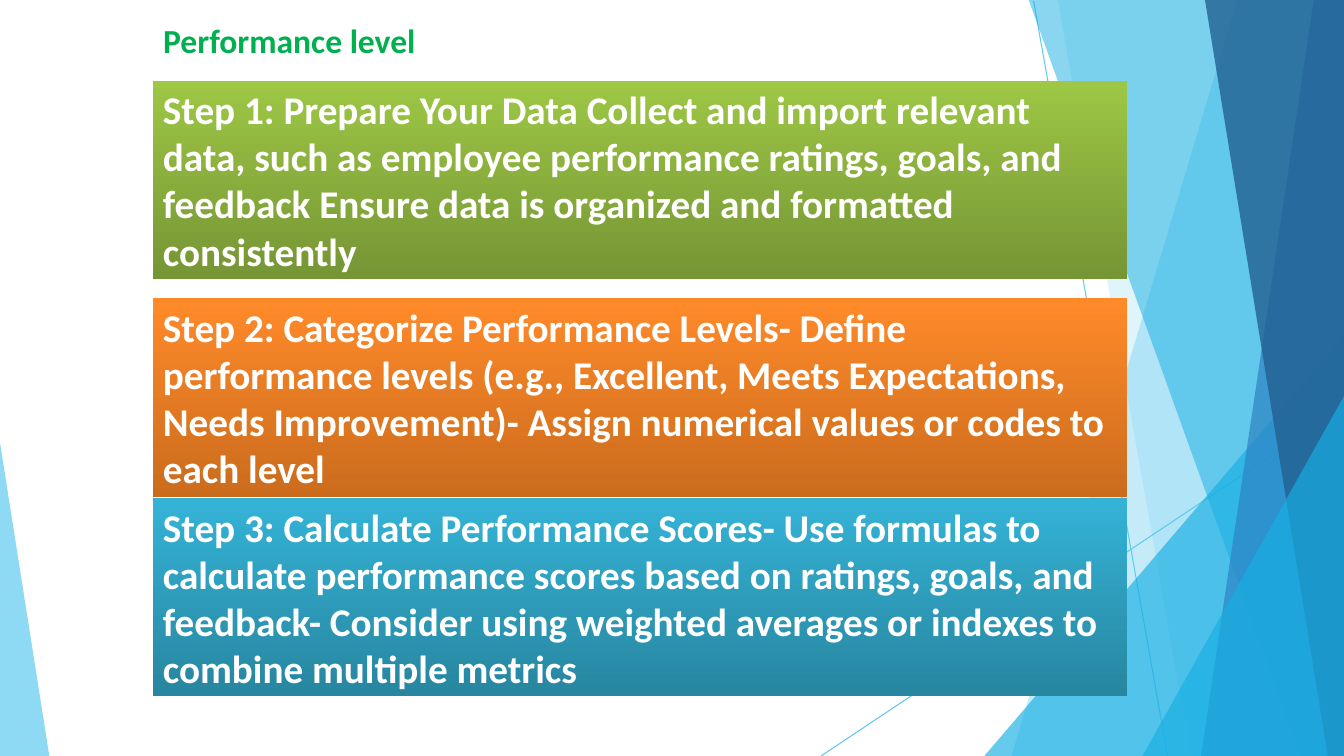
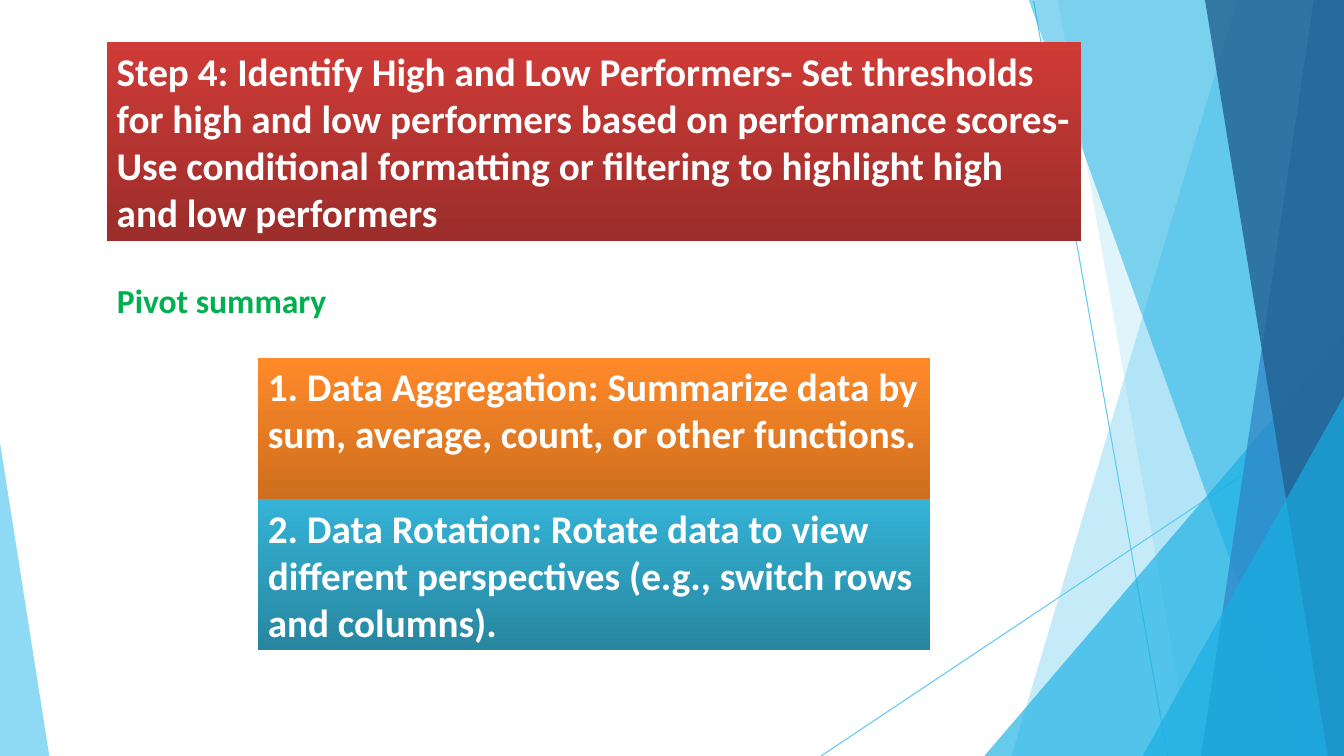
"""Build two slides of performance steps on a faceted background."""
from dataclasses import dataclass

from lxml.etree import SubElement
from pptx import Presentation
from pptx.dml.color import RGBColor
from pptx.enum.shapes import MSO_CONNECTOR, MSO_SHAPE
from pptx.enum.text import MSO_ANCHOR, MSO_AUTO_SIZE, PP_ALIGN
from pptx.oxml.ns import qn
from pptx.util import Inches, Pt


@dataclass(frozen=True)
class Theme:
    """Colours, gradients (bottom, top), font and type sizes."""
    font: str = "Calibri"
    heading_size: int = 24
    step_size: int = 28
    line_width: float = 0.75
    heading: str = "00B050"
    step_text: str = "FFFFFF"
    sky: str = "5FCAEE"
    azure: str = "17AFE3"
    blue: str = "2D83C3"
    navy: str = "226192"
    green: tuple = ("769535", "9DC745")
    orange: tuple = ("CB6C1D", "FF8A29")
    teal: tuple = ("2786A0", "34B3D6")
    red: tuple = ("9B2D2A", "CF3B37")


class Deck:
    """Draws on a grid of 100 columns and 100 rows."""

    def __init__(self, theme):
        """Start a widescreen presentation."""
        self.theme = theme
        self.presentation = Presentation()
        self.presentation.slide_width = Inches(13.34)
        self.presentation.slide_height = Inches(7.5)
        self.layout = self.presentation.slide_layouts[5]
        self.slide = None

    def columns(self, count):
        """Return the length of a number of columns."""
        return round(self.presentation.slide_width * count / 100)

    def rows(self, count):
        """Return the length of a number of rows."""
        return round(self.presentation.slide_height * count / 100)

    def place(self, left, top, width, height):
        """Turn grid units into a position and size."""
        return self.columns(left), self.rows(top), self.columns(width), self.rows(height)

    def add_slide(self):
        """Open a new title-only slide."""
        self.slide = self.presentation.slides.add_slide(self.layout)

    def share(self, shape):
        """Move a shape from the slide to the layout."""
        tree = self.layout.shapes.element
        shape.element.xpath(".//p:cNvPr")[0].set("id", str(100 + len(tree)))
        tree.append(shape.element)

    def ray(self, start, end):
        """Add a thin line to the background."""
        line = self.slide.shapes.add_connector(
            MSO_CONNECTOR.STRAIGHT, self.columns(start[0]), self.rows(start[1]),
            self.columns(end[0]), self.rows(end[1]))
        line.line.color.rgb = RGBColor.from_string(self.theme.sky)
        line.line.width = Pt(self.theme.line_width)
        SubElement(line.element.spPr, qn("a:effectLst"))
        self.share(line)

    def facet(self, color, opacity, *corners):
        """Add a translucent polygon to the background."""
        points = [(self.columns(x), self.rows(y)) for x, y in corners]
        builder = self.slide.shapes.build_freeform(*points[0])
        builder.add_line_segments(points[1:], close=True)
        shape = builder.convert_to_shape()
        shape.shadow.inherit = False
        shape.line.fill.background()
        shape.fill.solid()
        shape.fill.fore_color.rgb = RGBColor.from_string(color)
        fill_color = shape.element.xpath("./p:spPr/a:solidFill/a:srgbClr")[0]
        SubElement(fill_color, qn("a:alpha"), val=str(opacity * 1000))
        self.share(shape)

    def background(self):
        """Draw the lines and facets that every slide shares."""
        theme = self.theme
        self.ray((76.91, 0.13), (86.88, 100))
        self.ray((100, 53.87), (61.09, 100))
        for color, opacity, top, edge in (
            (theme.sky, 36, 0, [(92.05, 0), (75.26, 100)]),
            (theme.sky, 20, 0, [(78.71, 0), (88.61, 100)]),
            (theme.azure, 66, 44.4, [(73.24, 100)]),
            (theme.azure, 50, 0, [(76.54, 0), (96.78, 100)]),
            (theme.blue, 70, 0, [(97.75, 0), (89.36, 100)]),
            (theme.navy, 80, 0, [(89.66, 0), (98.8, 100)]),
            (theme.azure, 66, 52.4, [(85.01, 100)]),
        ):
            self.facet(color, opacity, (100, top), *edge, (100, 100))
        self.facet(theme.sky, 70, (0, 58.53), (0, 100), (3.67, 100))

    def set_text(self, shape, text, size, color):
        """Set bold, left-aligned text at the top of a shape."""
        frame = shape.text_frame
        frame.text = text
        frame.word_wrap = True
        frame.auto_size = MSO_AUTO_SIZE.NONE
        frame.vertical_anchor = MSO_ANCHOR.TOP
        paragraph = frame.paragraphs[0]
        paragraph.alignment = PP_ALIGN.LEFT
        paragraph.font.name = self.theme.font
        paragraph.font.size = Pt(size)
        paragraph.font.bold = True
        paragraph.font.color.rgb = RGBColor.from_string(color)

    def heading(self, text, left, top):
        """Fill and move the title placeholder."""
        title = self.slide.shapes.title
        title.left, title.top, title.width, title.height = self.place(left, top, 50, 6.67)
        self.set_text(title, text, self.theme.heading_size, self.theme.heading)

    def step(self, text, gradient, left, top, width=72.49, height=26.27):
        """Add a gradient box with the text of one step."""
        box = self.slide.shapes.add_shape(
            MSO_SHAPE.RECTANGLE, *self.place(left, top, width, height))
        box.shadow.inherit = False
        box.line.fill.background()
        box.fill.gradient()
        box.fill.gradient_angle = 90
        for stop, color in zip(box.fill.gradient_stops, gradient):
            stop.color.rgb = RGBColor.from_string(color)
        self.set_text(box, text, self.theme.step_size, self.theme.step_text)


def main():
    """Build and save both slides."""
    theme = Theme()
    deck = Deck(theme)

    deck.add_slide()
    deck.background()
    margin = 11.39
    deck.heading("Performance level", margin, 2)
    for text, gradient, top in (
        ("Step 1: Prepare Your Data Collect and import relevant data, such as employee "
         "performance ratings, goals, and feedback Ensure data is organized and "
         "formatted consistently", theme.green, 10.67),
        ("Step 2: Categorize Performance Levels- Define performance levels (e.g., "
         "Excellent, Meets Expectations, Needs Improvement)- Assign numerical values "
         "or codes to each level", theme.orange, 39.47),
        ("Step 3: Calculate Performance Scores- Use formulas to calculate performance "
         "scores based on ratings, goals, and feedback- Consider using weighted "
         "averages or indexes to combine multiple metrics", theme.teal, 65.87),
    ):
        deck.step(text, gradient, margin, top)

    deck.add_slide()
    margin = 7.95
    deck.step("Step 4: Identify High and Low Performers- Set thresholds for high and low "
              "performers based on performance scores- Use conditional formatting or "
              "filtering to highlight high and low performers", theme.red, margin, 5.6)
    deck.heading("Pivot summary", margin, 36.4)
    for text, gradient, top in (
        ("1. Data Aggregation: Summarize data by sum, average, count, or other "
         "functions.", theme.orange, 47.33),
        ("2. Data Rotation: Rotate data to view different perspectives (e.g., switch "
         "rows and columns).", theme.teal, 66),
    ):
        deck.step(text, gradient, 19.19, top, 50, 20)

    deck.presentation.save("out.pptx")


if __name__ == "__main__":
    main()
